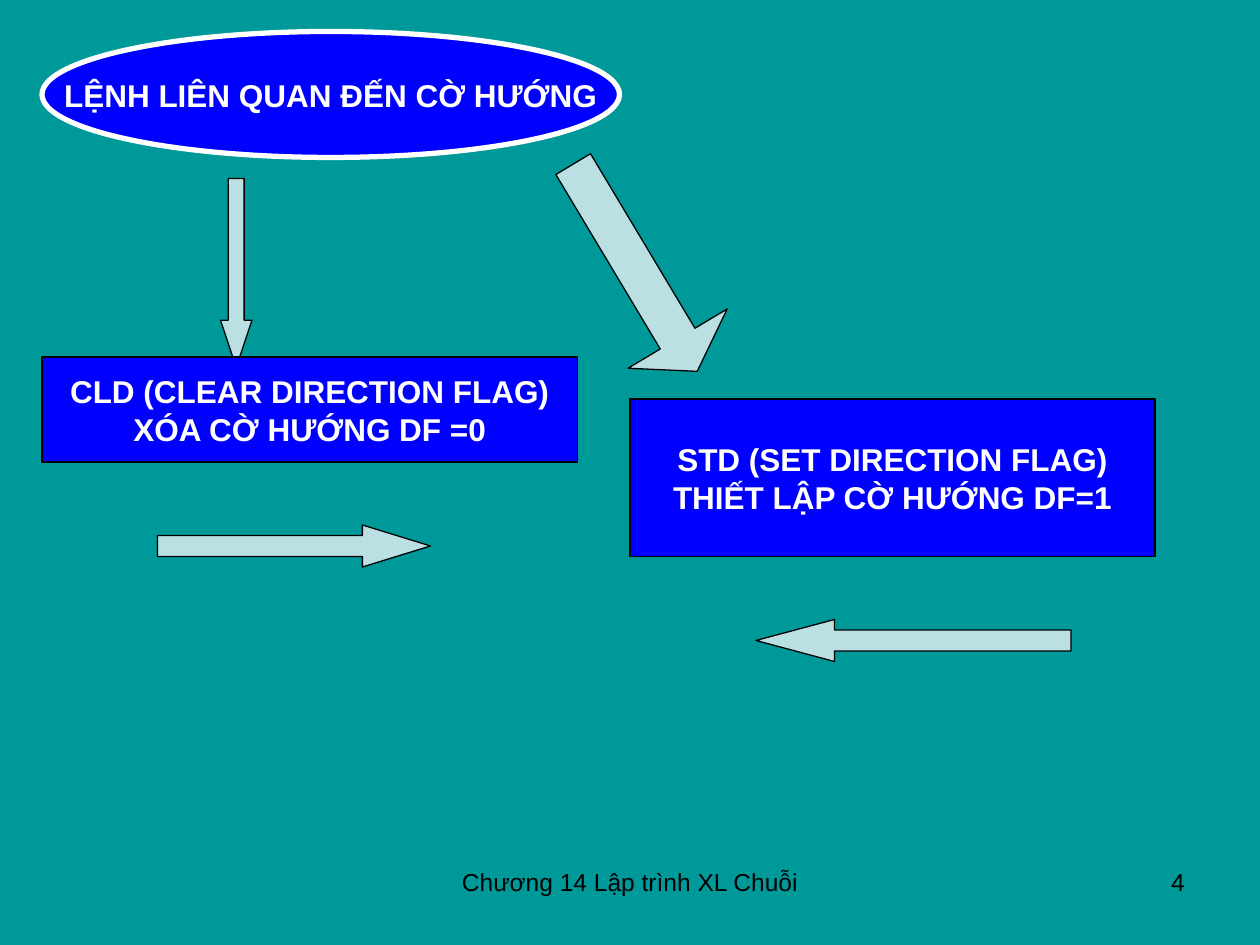
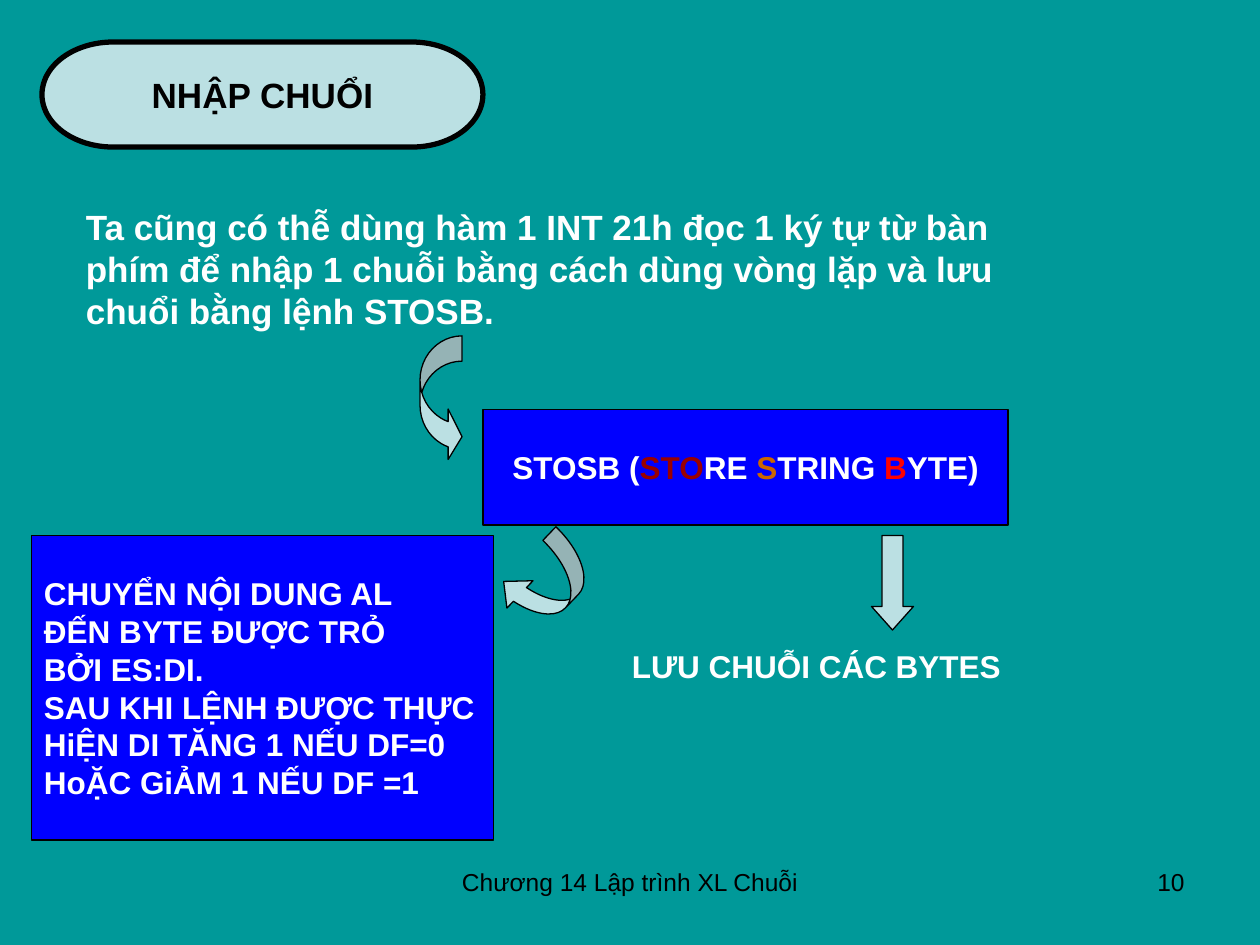
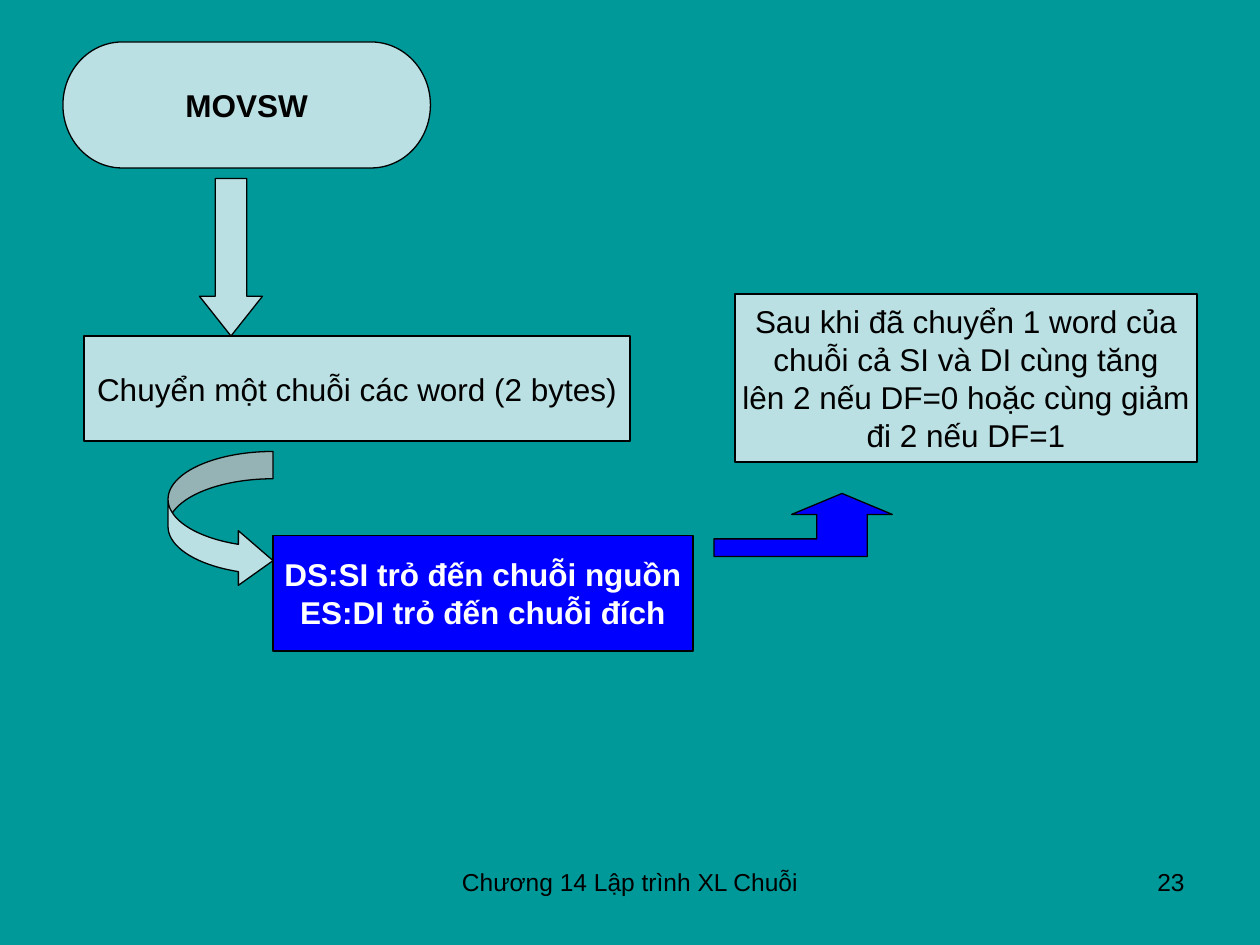
from dataclasses import dataclass

from pptx import Presentation
from pptx import util as u
from pptx.dml.color import RGBColor
from pptx.enum import shapes, text

CELL = u.Inches(1) / 12
KIND = shapes.MSO_SHAPE
ALIGN = text.PP_ALIGN
ANCHOR = text.MSO_ANCHOR


@dataclass(frozen=True)
class Theme:
    font: str = "Arial"
    backdrop: str = "009999"
    blue: str = "0000FF"
    pale: str = "BBE0E3"
    black: str = "000000"
    white: str = "FFFFFF"
    maroon: str = "990000"
    orange: str = "CC6600"
    red: str = "FF0000"
    lead: int = 20
    body: int = 18
    footer: int = 14
    thin: float = 0.75
    thick: float = 3


THEME = Theme()
FOOTER = "Chương 14 Lập trình XL Chuỗi"


def colour(value):
    return RGBColor.from_string(value)


def grid(*cells):
    return [u.Emu(round(cell * CELL)) for cell in cells]


class Deck:
    def __init__(self, theme):
        self.theme = theme
        self.prs = Presentation()
        self.prs.slide_width, self.prs.slide_height = grid(120, 90)
        backdrop = self.prs.slide_master.background.fill
        backdrop.solid()
        backdrop.fore_color.rgb = colour(theme.backdrop)
        self.slide = None

    def new_slide(self, number):
        theme = self.theme
        self.slide = self.prs.slides.add_slide(self.prs.slide_layouts[6])
        for left, width, words, align in ((41, 38, FOOTER, ALIGN.CENTER),
                                          (86, 28, str(number), ALIGN.RIGHT)):
            self.note((left, 82, width, 6.25), words, theme.footer, theme.black, False, align)

    def fill_text(self, frame, paragraphs, size, ink, bold, align):
        for index, content in enumerate(paragraphs):
            paragraph = frame.paragraphs[0] if index == 0 else frame.add_paragraph()
            if isinstance(content, str):
                paragraph.text = content
            else:
                for words, accent in content:
                    run = paragraph.add_run()
                    run.text = words
                    if accent:
                        run.font.color.rgb = colour(accent)
            paragraph.alignment = align
            font = paragraph.font
            font.name, font.size, font.bold = self.theme.font, u.Pt(size), bold
            font.color.rgb = colour(ink)

    def paint(self, shape, fill, edge, weight):
        shape.shadow.inherit = False
        shape.fill.solid()
        shape.fill.fore_color.rgb = colour(fill)
        shape.line.color.rgb = colour(edge)
        shape.line.width = u.Pt(weight)

    def note(self, box, words, size, ink, bold=True, align=ALIGN.LEFT):
        frame = self.slide.shapes.add_textbox(*grid(*box)).text_frame
        frame.word_wrap = True
        self.fill_text(frame, [words], size, ink, bold, align)

    def block(self, box, *paragraphs, kind=KIND.RECTANGLE, fill=None, ink=None,
              edge=None, weight=None, size=None, bold=True, align=ALIGN.CENTER):
        theme = self.theme
        shape = self.slide.shapes.add_shape(kind, *grid(*box))
        self.paint(shape, fill or theme.blue, edge or theme.black, weight or theme.thin)
        frame = shape.text_frame
        frame.word_wrap = False
        frame.vertical_anchor = ANCHOR.MIDDLE
        self.fill_text(frame, paragraphs, size or theme.body, ink or theme.white, bold, align)

    def pale_block(self, box, *paragraphs, **style):
        self.block(box, *paragraphs, fill=self.theme.pale, ink=self.theme.black, **style)

    def arrow(self, kind, box, *adjustments, rotation=0):
        shape = self.slide.shapes.add_shape(kind, *grid(*box))
        self.paint(shape, self.theme.pale, self.theme.black, self.theme.thin)
        for index, value in enumerate(adjustments):
            shape.adjustments[index] = value
        shape.rotation = rotation

    def outline(self, points, fill):
        start, *rest = [tuple(grid(*point)) for point in points]
        builder = self.slide.shapes.build_freeform(*start)
        builder.add_line_segments(rest, close=True)
        self.paint(builder.convert_to_shape(), fill, self.theme.black, self.theme.thin)


def direction_flag(deck):
    deck.new_slide(4)
    deck.block((4, 3, 55, 12), "LỆNH LIÊN QUAN ĐẾN CỜ HƯỚNG", kind=KIND.OVAL,
               edge=THEME.white, weight=THEME.thick)
    deck.arrow(KIND.DOWN_ARROW, (21, 17, 3, 18), 0.5, 1.5)
    deck.block((4, 34, 51, 10), "CLD (CLEAR DIRECTION FLAG)\vXÓA CỜ HƯỚNG DF =0")
    deck.arrow(KIND.DOWN_ARROW, (55, 14, 11, 23), 0.35, 0.33, rotation=329.1)
    deck.block((60, 38, 50, 15), "STD (SET DIRECTION FLAG)\vTHIẾT LẬP CỜ HƯỚNG DF=1")
    deck.arrow(KIND.RIGHT_ARROW, (15, 50, 26, 4), 0.5, 1.62)
    deck.arrow(KIND.LEFT_ARROW, (72, 59, 30, 4), 0.5, 1.87)


def string_input(deck):
    deck.new_slide(10)
    deck.pale_block((4, 4, 42, 10), "NHẬP CHUỔI", kind=KIND.FLOWCHART_TERMINATOR,
                    weight=THEME.thick, size=THEME.lead)
    deck.note((7, 19, 91, 13.2),
              "Ta cũng có thễ dùng hàm 1 INT 21h đọc 1 ký tự từ bàn phím để nhập 1 chuỗi "
              "bằng cách dùng vòng lặp và lưu chuổi bằng lệnh STOSB.",
              THEME.lead, THEME.white)
    deck.arrow(KIND.CURVED_RIGHT_ARROW, (40, 32, 4, 12), 0.6, 1.2, 0.33)
    deck.block((46, 39, 50, 11), [
        ("STOSB (", None), ("STO", THEME.maroon), ("RE ", None), ("S", THEME.orange),
        ("TRING ", None), ("B", THEME.red), ("YTE)", None)])
    deck.arrow(KIND.DOWN_ARROW, (83, 51, 4, 9), 0.5, 0.56)
    deck.note((59, 61, 39, 4.8), "LƯU CHUỖI CÁC BYTES", THEME.body, THEME.white)
    deck.arrow(KIND.CURVED_LEFT_ARROW, (49, 51, 6, 9), 0.3, 0.6, 0.33, rotation=43.7)
    deck.block((3, 51, 44, 29),
               "CHUYỂN NỘI DUNG AL\vĐẾN BYTE ĐƯỢC TRỎ\vBỞI ES:DI.",
               "SAU KHI LỆNH ĐƯỢC THỰC\vHiỆN DI TĂNG 1 NẾU DF=0\vHoẶC GiẢM 1 NẾU DF =1",
               align=ALIGN.LEFT)


def move_words(deck):
    deck.new_slide(23)
    deck.pale_block((6, 4, 35, 12), "MOVSW", kind=KIND.FLOWCHART_TERMINATOR)
    deck.arrow(KIND.DOWN_ARROW, (19, 17, 6, 15), 0.5, 0.63)
    deck.pale_block((8, 32, 52, 10), "Chuyển một chuỗi các word (2 bytes)", bold=False)
    deck.arrow(KIND.CURVED_RIGHT_ARROW, (16, 43, 10, 13), 0.26, 0.52, 0.33)
    deck.block((26, 51, 40, 11), "DS:SI trỏ đến chuỗi nguồn\vES:DI trỏ đến chuỗi đích")
    deck.outline([(68, 51.33), (77.8, 51.33), (77.8, 49), (75.4, 49), (80.2, 47),
                  (85, 49), (82.6, 49), (82.6, 53), (68, 53)], THEME.blue)
    deck.pale_block((70, 28, 44, 16),
                    "Sau khi đã chuyển 1 word của\vchuỗi cả SI và DI cùng tăng\v"
                    "lên 2 nếu DF=0 hoặc cùng giảm\vđi 2 nếu DF=1", bold=False)


def main():
    deck = Deck(THEME)
    for build in (direction_flag, string_input, move_words):
        build(deck)
    deck.prs.save("out.pptx")


if __name__ == "__main__":
    main()
